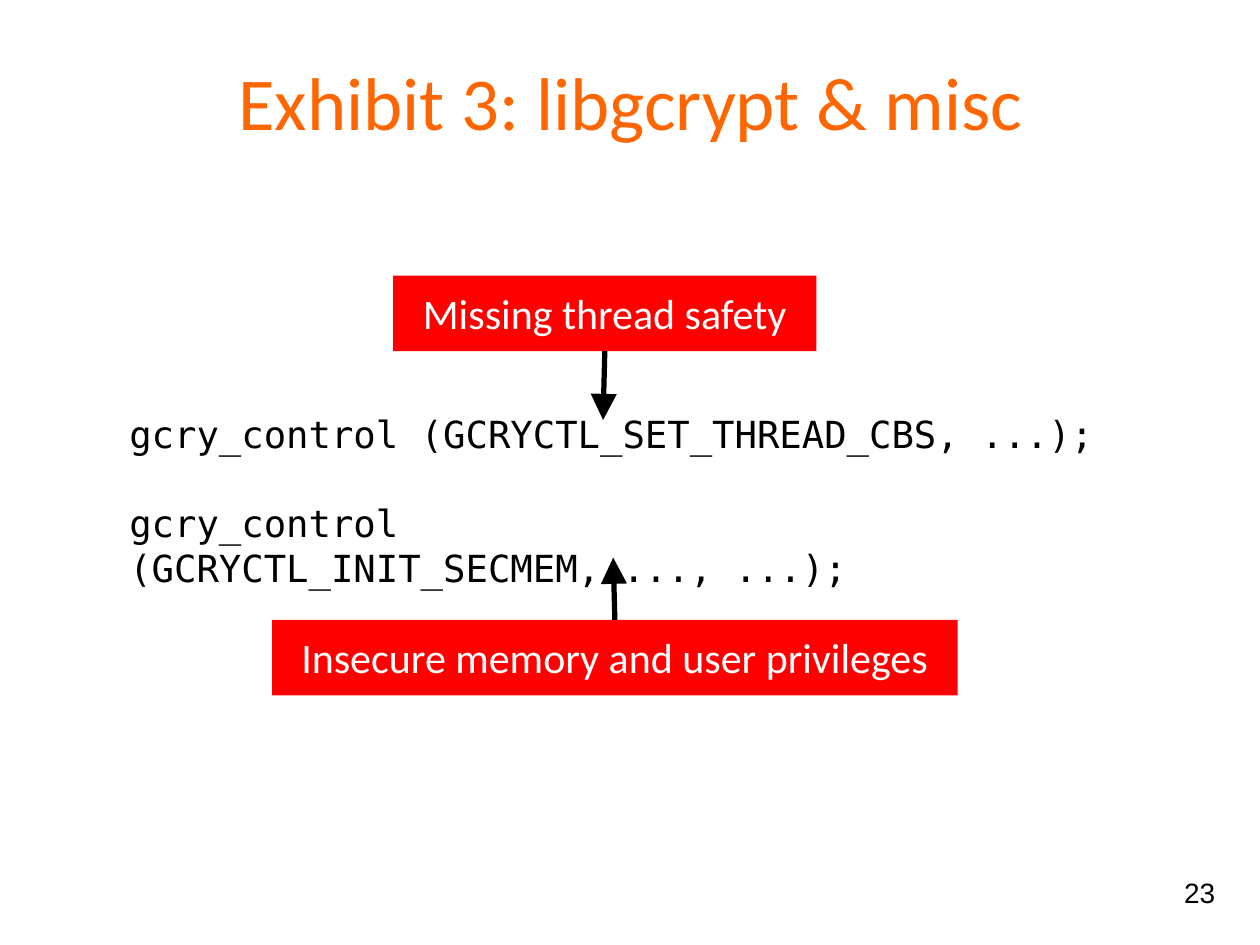
from dataclasses import dataclass

from lxml import etree
from pptx import Presentation
from pptx.dml.color import RGBColor
from pptx.enum.shapes import MSO_CONNECTOR, MSO_SHAPE
from pptx.enum.text import MSO_ANCHOR, PP_ALIGN
from pptx.oxml.ns import qn
from pptx.shapes.autoshape import Shape
from pptx.slide import Slide
from pptx.util import Inches, Pt

RECTANGLE = MSO_SHAPE.RECTANGLE
STRAIGHT = MSO_CONNECTOR.STRAIGHT
TOP, MIDDLE = MSO_ANCHOR.TOP, MSO_ANCHOR.MIDDLE
LEFT, CENTER = PP_ALIGN.LEFT, PP_ALIGN.CENTER
TOP_SIDE, BOTTOM_SIDE = 0, 2

SLIDE_WIDTH = 7.5
SLIDE_HEIGHT = SLIDE_WIDTH * 3 / 4

ORANGE = RGBColor(0xFF, 0x66, 0x00)
RED = RGBColor(0xFF, 0x00, 0x00)
WHITE = RGBColor(0xFF, 0xFF, 0xFF)
BLACK = RGBColor(0x00, 0x00, 0x00)


@dataclass(frozen=True)
class Box:
    left: float
    top: float
    width: float
    height: float


@dataclass(frozen=True)
class TextStyle:
    font: str
    size: float
    color: RGBColor
    align: PP_ALIGN = LEFT
    anchor: MSO_ANCHOR = TOP
    inset: float = 0.07
    gap: float = 0


@dataclass(frozen=True)
class TextBlock:
    box: Box
    lines: tuple[str, ...]
    style: TextStyle


@dataclass(frozen=True)
class Callout:
    box: Box
    text: str
    side: int
    target: tuple[float, float]


TITLE_STYLE = TextStyle("Calibri", 32, ORANGE, CENTER)
CODE_STYLE = TextStyle("DejaVu Sans Mono", 16, BLACK, gap=19)
CALLOUT_STYLE = TextStyle("Calibri", 18, WHITE, CENTER)
NUMBER_STYLE = TextStyle("Arial", 12, BLACK, anchor=MIDDLE, inset=0.1)

TEXT_BLOCKS = (
    TextBlock(
        Box(0.7, 2.38, 5.89, 0.69),
        (
            "gcry_control (GCRYCTL_SET_THREAD_CBS, ...);",
            "gcry_control (GCRYCTL_INIT_SECMEM, ..., ...);",
        ),
        CODE_STYLE,
    ),
    TextBlock(Box(0.26, 0.26, 6.99, 1.05), ("Exhibit 3: libgcrypt & misc",), TITLE_STYLE),
    TextBlock(Box(6.95, 5.1, 0.45, 0.43), ("23",), NUMBER_STYLE),
)
CALLOUTS = (
    Callout(Box(2.34, 1.64, 2.52, 0.45), "Missing thread safety", BOTTOM_SIDE, (3.59, 2.5)),
    Callout(
        Box(1.62, 3.69, 4.08, 0.45), "Insecure memory and user privileges", TOP_SIDE, (3.65, 3.32)
    ),
)


def write_text(shape: Shape, lines: tuple[str, ...], style: TextStyle) -> None:
    frame = shape.text_frame
    frame.word_wrap = True
    frame.vertical_anchor = style.anchor
    frame.margin_left = frame.margin_right = Inches(style.inset)
    frame.margin_top = frame.margin_bottom = Inches(style.inset)
    for index, line in enumerate(lines):
        paragraph = frame.add_paragraph() if index else frame.paragraphs[0]
        paragraph.alignment = style.align
        if index:
            paragraph.space_before = Pt(style.gap)
        run = paragraph.add_run()
        run.text = line
        run.font.name = style.font
        run.font.size = Pt(style.size)
        run.font.color.rgb = style.color


def add_text_block(slide: Slide, block: TextBlock) -> None:
    box = block.box
    shape = slide.shapes.add_textbox(
        Inches(box.left), Inches(box.top), Inches(box.width), Inches(box.height)
    )
    write_text(shape, block.lines, block.style)


def add_arrow(slide: Slide, source: Shape, side: int, target: tuple[float, float]) -> None:
    """Draw an arrow from the middle of a side of the source to the target point."""
    x, y = (Inches(value) for value in target)
    connector = slide.shapes.add_connector(STRAIGHT, x, y, x, y)
    connector.begin_connect(source, side)
    connector.line.color.rgb = BLACK
    connector.line.width = Pt(2.25)
    line = connector._element.spPr.find(qn("a:ln"))
    etree.SubElement(line, qn("a:tailEnd"), type="triangle", w="lg", len="lg")
    etree.SubElement(connector._element.spPr, qn("a:effectLst"))


def add_callout(slide: Slide, callout: Callout) -> None:
    box = callout.box
    shape = slide.shapes.add_shape(
        RECTANGLE, Inches(box.left), Inches(box.top), Inches(box.width), Inches(box.height)
    )
    shape.shadow.inherit = False
    shape.fill.solid()
    shape.fill.fore_color.rgb = RED
    shape.line.fill.background()
    write_text(shape, (callout.text,), CALLOUT_STYLE)
    add_arrow(slide, shape, callout.side, callout.target)


def main() -> None:
    presentation = Presentation()
    presentation.slide_width = Inches(SLIDE_WIDTH)
    presentation.slide_height = Inches(SLIDE_HEIGHT)
    slide = presentation.slides.add_slide(presentation.slide_layouts[6])
    for block in TEXT_BLOCKS:
        add_text_block(slide, block)
    for callout in CALLOUTS:
        add_callout(slide, callout)
    presentation.save("out.pptx")


if __name__ == "__main__":
    main()
